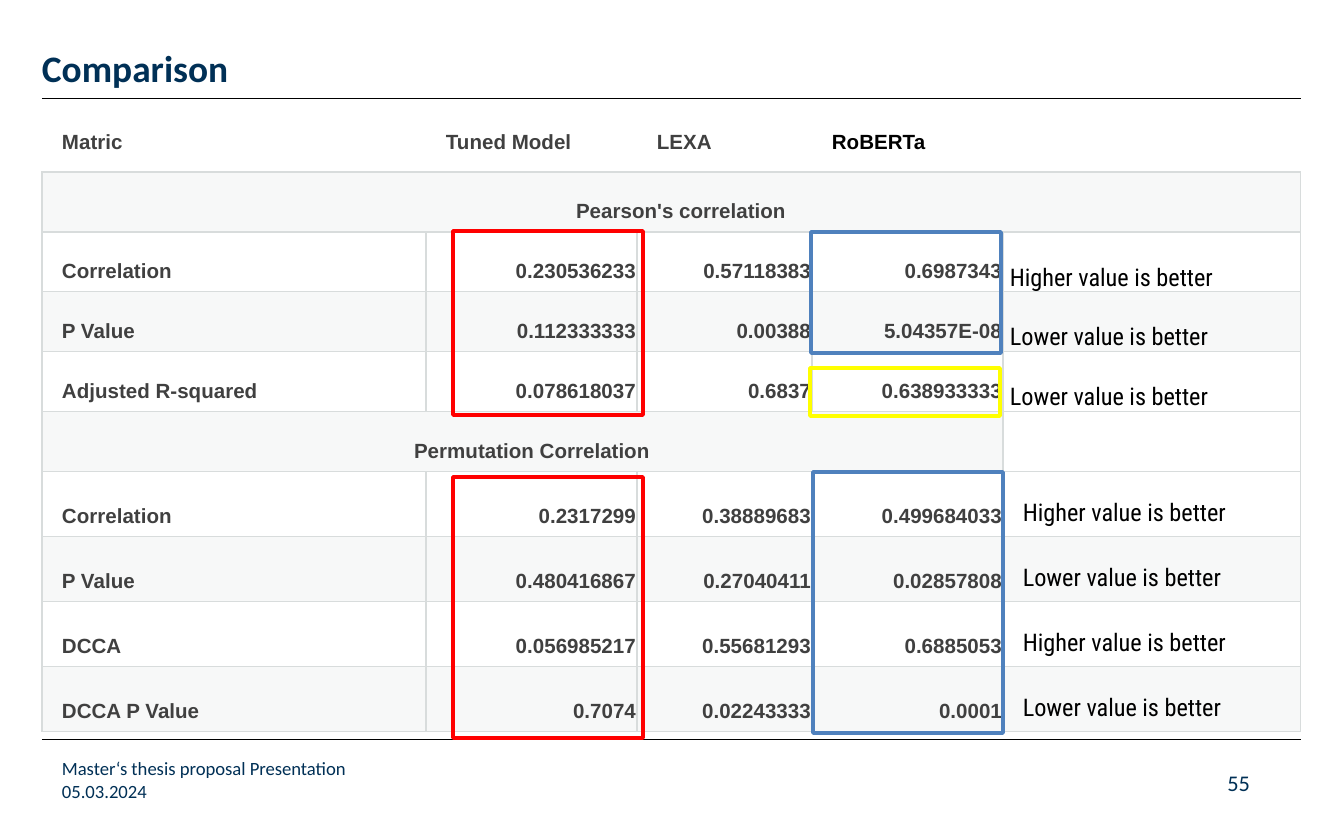
from lxml import etree
from pptx import Presentation
from pptx.dml.color import RGBColor
from pptx.enum.shapes import MSO_CONNECTOR, MSO_SHAPE
from pptx.enum.text import MSO_ANCHOR, PP_ALIGN
from pptx.oxml.ns import qn
from pptx.util import Pt

LEFT, CENTER, RIGHT = PP_ALIGN.LEFT, PP_ALIGN.CENTER, PP_ALIGN.RIGHT
TOP, MIDDLE, BOTTOM = MSO_ANCHOR.TOP, MSO_ANCHOR.MIDDLE, MSO_ANCHOR.BOTTOM
RECTANGLE, STRAIGHT = MSO_SHAPE.RECTANGLE, MSO_CONNECTOR.STRAIGHT

SLIDE_W, SLIDE_H = 1344, 840
EMU_PER_PX = 9144000 / SLIDE_W
NO_GRID_STYLE = "{2D5ABB26-0587-4C30-8999-92F81FD0307C}"

COLORS = {
    "navy": "003056", "black": "000000", "text": "404040",
    "band": "D8DEDC", "grid": "D8DCDC",
    "blue": "4F81BD", "yellow": "FFFF00", "red": "FF0000",
}

HIGHER, LOWER = "Higher value is better", "Lower value is better"
HEADER = ["Matric", "Tuned Model", "LEXA", "RoBERTa"]
# title, columns spanned by the title, left and bottom margin of the notes, rows
SECTIONS = [
    ("Pearson's correlation", 6, 7, 0, [
        ("Correlation", "0.230536233", "0.57118383", "0.6987343", HIGHER),
        ("P Value", "0.112333333", "0.00388", "5.04357E-08", LOWER),
        ("Adjusted R-squared", "0.078618037", "0.6837", "0.638933333", LOWER),
    ]),
    ("Permutation Correlation", 4, 20, 9, [
        ("Correlation", "0.2317299", "0.38889683", "0.499684033", HIGHER),
        ("P Value", "0.480416867", "0.27040411", "0.02857808", LOWER),
        ("DCCA", "0.056985217", "0.55681293", "0.6885053", HIGHER),
        ("DCCA P Value", "0.7074", "0.02243333", "0.0001", LOWER),
    ]),
]
COLUMN_WIDTHS = [384, 211, 175, 191, 160, 138]
ROW_HEIGHTS = [60] * 6 + [65] * 4
NOTE_COLUMN = 4
LAST_COLUMN = len(COLUMN_WIDTHS) - 1
TABLE_LEFT, TABLE_TOP = 42, 112
RULES_Y = [99, 739]

# left, top, width, height, colour
HIGHLIGHTS = [
    (811, 232, 190, 121, "blue"),
    (813, 472, 190, 261, "blue"),
    (810, 368, 190, 48, "yellow"),
    (453, 477, 190, 261, "red"),
    (453, 231, 190, 184, "red"),
]

# text, box, format
TEXTS = [
    ("55", (1043, 769, 207, 27), dict(size=12, align=RIGHT)),
    ("05.03.2024", (62, 780, 418, 27), dict(size=10)),
    ("Master‘s thesis proposal Presentation", (62, 757, 567, 27), dict(size=10)),
    ("Comparison", (42, 24, 1259, 67),
     dict(size=20, bold=True, anchor=BOTTOM, spacing=0.9)),
]


def px(value):
    return round(value * EMU_PER_PX)


def rgb(name):
    return RGBColor.from_string(COLORS[name])


def write(frame, text, *, size, font="Calibri", color="navy", bold=False,
          align=LEFT, spacing=None):
    paragraph = frame.paragraphs[0]
    paragraph.alignment = align
    if spacing:
        paragraph.line_spacing = spacing
    run = paragraph.add_run()
    run.text = text
    run.font.size, run.font.name, run.font.bold = Pt(size), font, bold
    run.font.color.rgb = rgb(color)


def add_text(slide, text, box, anchor=TOP, **text_format):
    frame = slide.shapes.add_textbox(*map(px, box)).text_frame
    frame.word_wrap = True
    frame.margin_left = frame.margin_top = 0
    frame.margin_right = frame.margin_bottom = 0
    frame.vertical_anchor = anchor
    write(frame, text, **text_format)


def add_rule(slide, y):
    right = TABLE_LEFT + sum(COLUMN_WIDTHS)
    rule = slide.shapes.add_connector(
        STRAIGHT, px(TABLE_LEFT), px(y), px(right), px(y))
    rule.line.color.rgb = rgb("black")
    rule.line.width = Pt(0.5)
    etree.SubElement(rule._element.spPr, qn("a:effectLst"))


def add_highlight(slide, left, top, width, height, color):
    frame = slide.shapes.add_shape(RECTANGLE, *map(px, (left, top, width, height)))
    frame.shadow.inherit = False
    frame.fill.background()
    frame.line.color.rgb = rgb(color)
    frame.line.width = Pt(2)


def set_borders(cell, sides):
    properties = cell._tc.get_or_add_tcPr()
    for side in sides:
        line = etree.SubElement(properties, qn(f"a:ln{side}"), w=str(Pt(0.75)))
        fill = etree.SubElement(line, qn("a:solidFill"))
        etree.SubElement(fill, qn("a:srgbClr"), val=COLORS["grid"])


def set_band(cell, banded):
    """Fill a banded cell with a 20 % tint and leave any other clear."""
    if not banded:
        cell.fill.background()
        return
    cell.fill.solid()
    cell.fill.fore_color.rgb = rgb("band")
    tint = cell._tc.tcPr.find(qn("a:solidFill")).find(qn("a:srgbClr"))
    etree.SubElement(tint, qn("a:alpha"), val="20000")


def fill_cell(cell, text, *, left=20, right=1, bottom=9, anchor=BOTTOM,
              size=11, font="Arial", color="text", bold=True, align=LEFT):
    cell.margin_left, cell.margin_right = px(left), px(right)
    cell.margin_top, cell.margin_bottom = px(min(bottom, 9)), px(bottom)
    cell.vertical_anchor = anchor
    write(cell.text_frame, text, size=size, font=font, color=color,
          bold=bold, align=align)


def add_comparison(slide):
    holder = slide.shapes.add_table(
        len(ROW_HEIGHTS), len(COLUMN_WIDTHS), px(TABLE_LEFT), px(TABLE_TOP),
        px(sum(COLUMN_WIDTHS)), px(sum(ROW_HEIGHTS)))
    table = holder.table
    table.first_row = table.horz_banding = False
    next(holder._element.iter(qn("a:tableStyleId"))).text = NO_GRID_STYLE
    for column, width in zip(table.columns, COLUMN_WIDTHS):
        column.width = px(width)
    for row, height in zip(table.rows, ROW_HEIGHTS):
        row.height = px(height)

    for column, name in enumerate(HEADER):
        fill_cell(table.cell(0, column), name, right=9, anchor=MIDDLE,
                  color="black" if name == "RoBERTa" else "text")
    table.cell(0, 3).merge(table.cell(0, NOTE_COLUMN))

    row = 1
    for title, span, note_left, note_bottom, metrics in SECTIONS:
        fill_cell(table.cell(row, 0), title, align=CENTER)
        table.cell(row, 0).merge(table.cell(row, span - 1))
        if span <= NOTE_COLUMN:
            table.cell(row, NOTE_COLUMN).merge(table.cell(row, LAST_COLUMN))
        for row, (metric, *values, note) in enumerate(metrics, row + 1):
            fill_cell(table.cell(row, 0), metric)
            for column, value in enumerate(values, 1):
                fill_cell(table.cell(row, column), value, align=RIGHT)
            note_cell = table.cell(row, NOTE_COLUMN)
            fill_cell(note_cell, note, left=note_left, bottom=note_bottom,
                      size=13, font="Roboto Condensed", color="black", bold=False)
            note_cell.merge(table.cell(row, LAST_COLUMN))
        row += 1

    permutation_row = 2 + len(SECTIONS[0][-1])
    for row in range(len(ROW_HEIGHTS)):
        for column in range(len(COLUMN_WIDTHS)):
            cell = table.cell(row, column)
            set_borders(cell, "LRTB" if row else "B")
            clear = row == permutation_row and column >= NOTE_COLUMN
            set_band(cell, row % 2 == 1 and not clear)


def main():
    presentation = Presentation()
    presentation.slide_width, presentation.slide_height = px(SLIDE_W), px(SLIDE_H)
    slide = presentation.slides.add_slide(presentation.slide_layouts[6])
    for y in RULES_Y:
        add_rule(slide, y)
    for text, box, text_format in TEXTS:
        add_text(slide, text, box, **text_format)
    add_comparison(slide)
    for highlight in HIGHLIGHTS:
        add_highlight(slide, *highlight)
    presentation.save("out.pptx")


if __name__ == "__main__":
    main()
